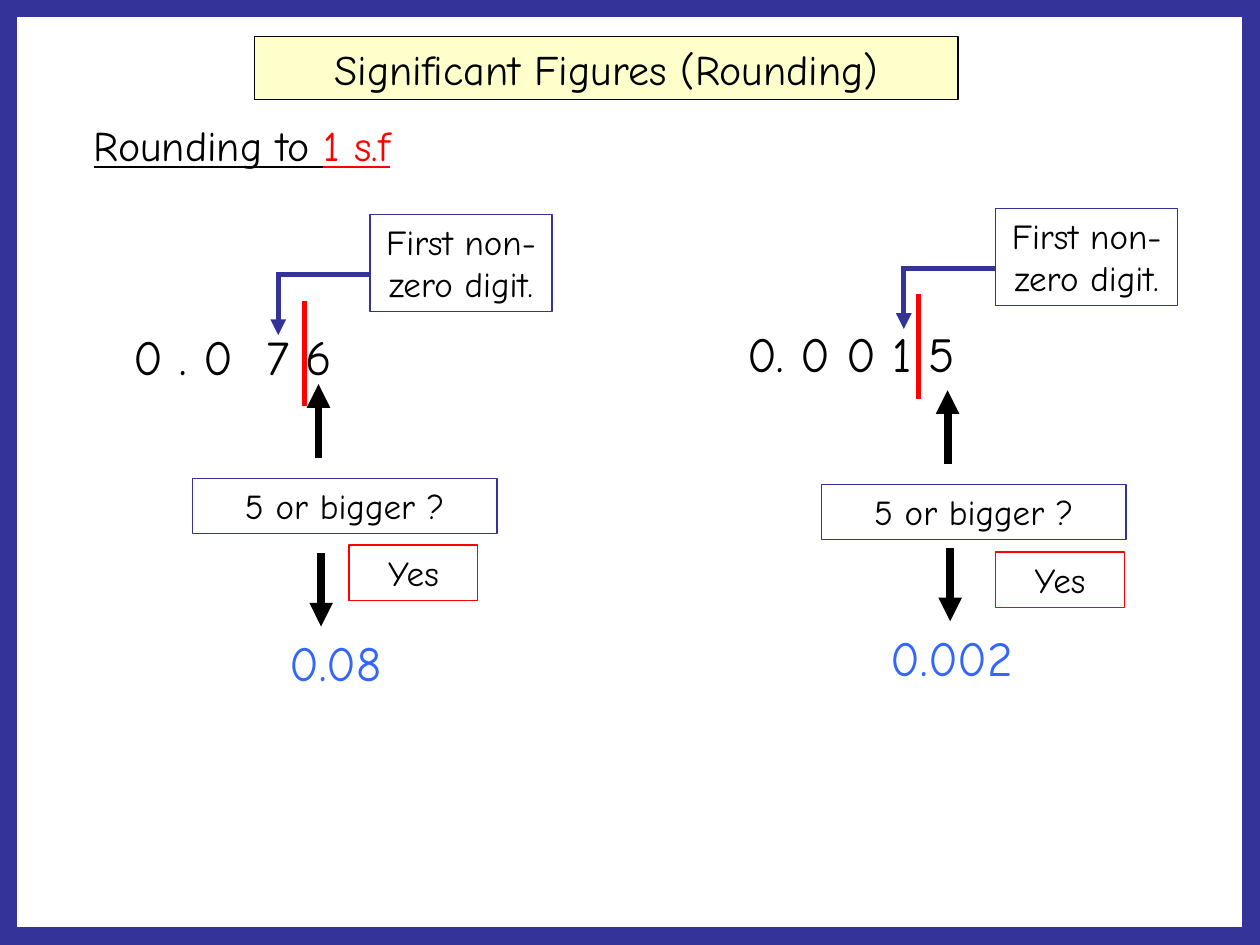
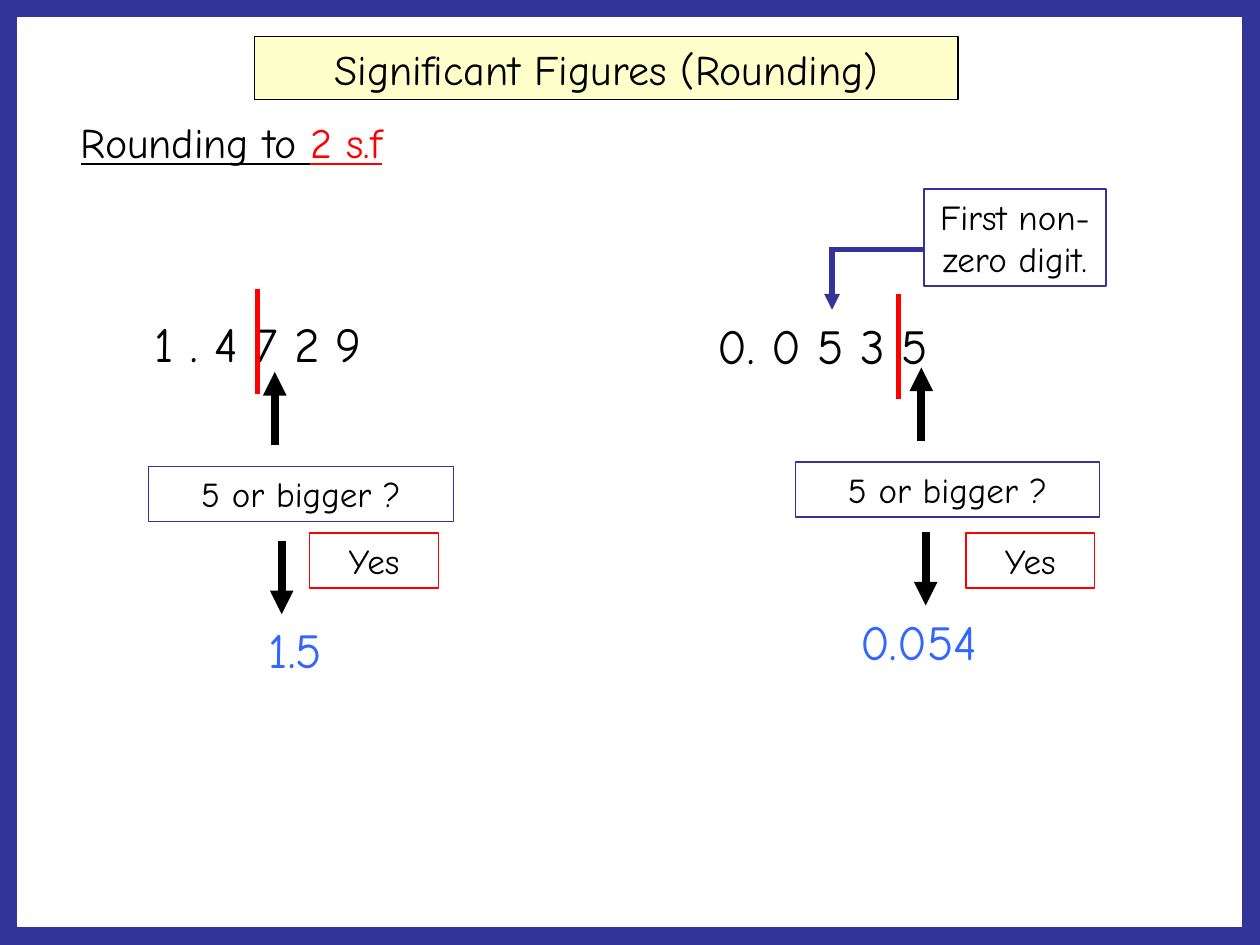
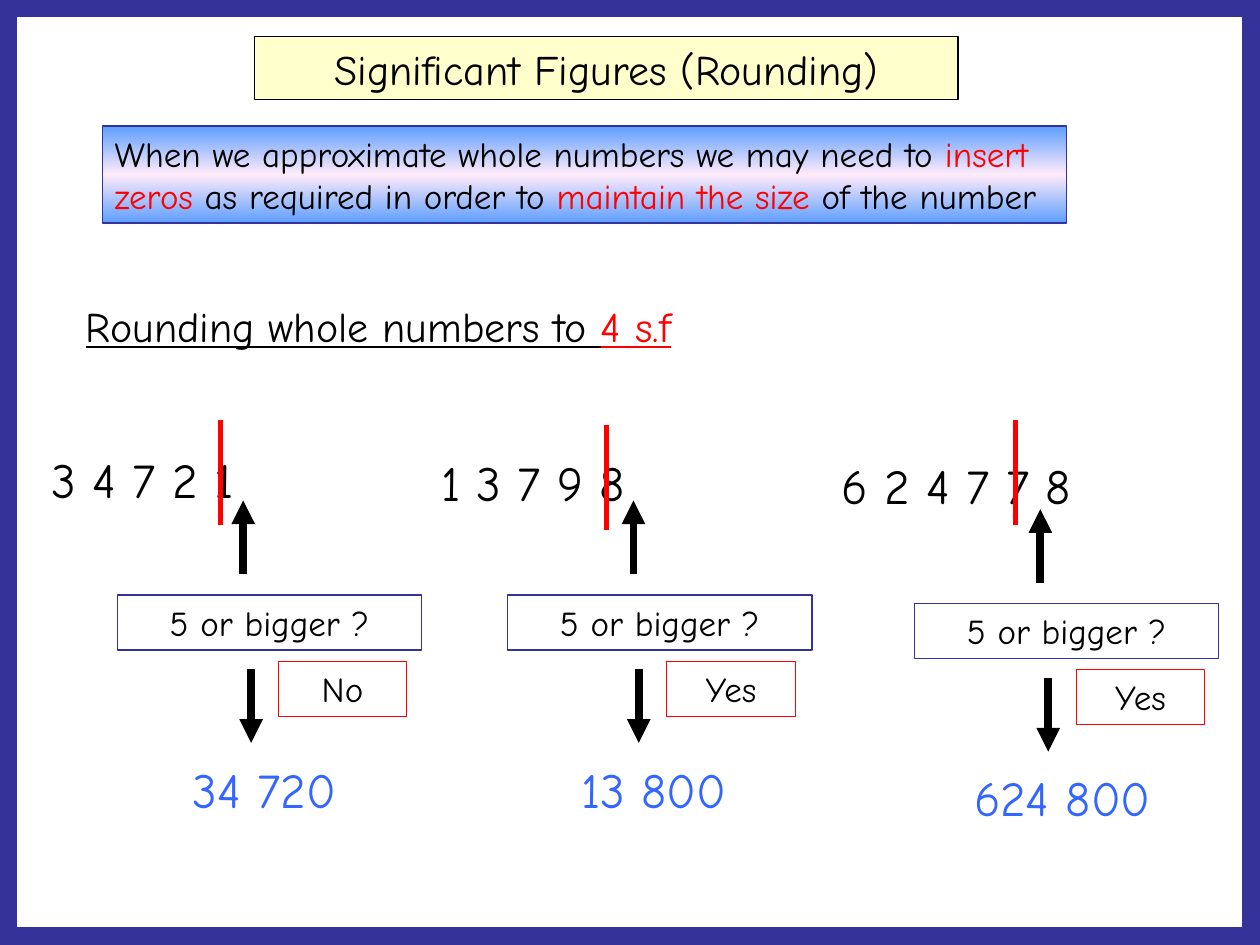
from copy import deepcopy
from dataclasses import dataclass

from pptx import Presentation
from pptx.dml.color import RGBColor
from pptx.enum.shapes import MSO_CONNECTOR, MSO_SHAPE
from pptx.enum.text import MSO_ANCHOR, MSO_AUTO_SIZE, PP_ALIGN
from pptx.oxml.ns import qn
from pptx.util import Pt

STRAIGHT = MSO_CONNECTOR.STRAIGHT
RECTANGLE = MSO_SHAPE.RECTANGLE
TOP = MSO_ANCHOR.TOP
FIT_SHAPE, FIXED_SIZE = MSO_AUTO_SIZE.SHAPE_TO_FIT_TEXT, MSO_AUTO_SIZE.NONE
LEFT, CENTER = PP_ALIGN.LEFT, PP_ALIGN.CENTER
TITLE_ONLY = 5


@dataclass(frozen=True)
class Theme:
    font: str = "Comic Neue"
    black: str = "000000"
    red: str = "FF0000"
    navy: str = "333399"
    answer_blue: str = "3366FF"
    title_fill: str = "FFFFCC"
    note_gradient: tuple = ((0, "5E9EFF"), (0.5, "FFEBFA"), (1, "5E9EFF"))
    heading_size: float = 24
    number_size: float = 28
    label_size: float = 20
    frame_line: float = 20
    box_line: float = 0.75
    mark_line: float = 3
    arrow_line: float = 4.5


THEME = Theme()
TITLE = "Significant Figures (Rounding)"
QUESTION = "5 or bigger ?"
FIRST_DIGIT = "First non-zero digit."
SPACE = 9.4        # width of one indent step in front of a number
LINE_HEIGHT = 41   # height of a number's text box


@dataclass(frozen=True)
class Example:
    """One worked rounding; each *_at is (left, top) in points."""
    digits: str
    digits_at: tuple
    cut_at: tuple
    question_at: tuple
    arrow_at: tuple
    verdict: str
    verdict_at: tuple
    answer: str
    answer_at: tuple
    answer_width: float = 151
    digits_indent: float = 0
    answer_indent: float = 0
    digits_tab: float = 0
    callout_at: tuple = ()


# Content of the slides
ONE_FIGURE = (
    Example("0 . 0\t7 6", (69, 183), (174, 172), (110, 273.5), (183.5, 316),
            "Yes", (199.5, 311.5), "0.08", (149, 358), 94,
            answer_indent=SPACE, digits_tab=76, callout_at=(211.5, 122.5)),
    Example("0. 0 0 1 5", (391.5, 181.5), (525, 168), (469.5, 277), (543, 313),
            "Yes", (569, 315.5), "0.002", (492.5, 355), 115,
            digits_indent=3 * SPACE, answer_indent=SPACE, callout_at=(569, 119)),
)
TWO_FIGURES = (
    Example("1 . 4 7 2 9", (81.5, 175.5), (147, 165), (85, 266.5), (161, 309),
            "Yes", (177, 304.5), "1.5", (137, 350.5), 60, answer_indent=SPACE),
    Example("0. 0 5 3 5", (403, 177), (513.5, 168), (454.5, 264), (529, 304),
            "Yes", (552, 304.5), "0.054", (484.5, 346), 96.5,
            callout_at=(528, 108)),
)
WHOLE_NUMBERS = (
    Example("3 4 7 2 1", (22.5, 253.5), (126, 240), (67, 340), (143.5, 382.5),
            "No", (159, 378), "34 720", (93.5, 430.5), answer_indent=SPACE),
    Example("1 3 7 9 8", (235.5, 255), (346.5, 243), (290, 340), (365, 382.5),
            "Yes", (381, 378), "13 800", (315.5, 430.5),
            digits_indent=SPACE, answer_indent=SPACE),
    Example("6 2 4 7 7 8", (474, 256.5), (580.5, 240), (522.5, 345), (599, 387.5),
            "Yes", (615, 382.5), "624 800", (549.5, 435)),
)
NOTE = (("When we approximate whole numbers we may need to ", THEME.black),
        ("insert zeros", THEME.red),
        (" as required in order to ", THEME.black),
        ("maintain the size", THEME.red),
        (" of the number", THEME.black))


# Helpers
def rgb(value):
    return RGBColor.from_string(value)


def apply_format(target, formats):
    for name, value in formats.items():
        setattr(target, name, value)


def set_outline(shape, color, width):
    shape.line.color.rgb = rgb(color)
    shape.line.width = Pt(width)


def add_tab_stop(paragraph, position):
    properties = paragraph._p.get_or_add_pPr()
    tab_list = properties.makeelement(qn("a:tabLst"), {})
    properties.append(tab_list)
    tab_list.append(tab_list.makeelement(
        qn("a:tab"), {"pos": str(Pt(position)), "algn": "l"}))


def write_text(shape, runs, size, align=LEFT, underline=None, indent=0, tab=0,
               auto_size=FIT_SHAPE):
    frame = shape.text_frame
    apply_format(frame, {
        "word_wrap": True, "auto_size": auto_size, "vertical_anchor": TOP,
        "margin_left": Pt(7.2 + indent), "margin_right": Pt(7.2),
        "margin_top": Pt(3.6), "margin_bottom": Pt(3.6)})
    paragraph = frame.paragraphs[0]
    paragraph.alignment = align
    if tab:
        add_tab_stop(paragraph, tab)
    for text, color in runs:
        run = paragraph.add_run()
        run.text = text
        apply_format(run.font, {"name": THEME.font, "size": Pt(size),
                                "underline": underline})
        run.font.color.rgb = rgb(color)


def add_box(slide, left, top, width, height, color, line=THEME.box_line):
    shape = slide.shapes.add_shape(
        RECTANGLE, Pt(left), Pt(top), Pt(width), Pt(height))
    shape.shadow.inherit = False
    shape.fill.background()
    set_outline(shape, color, line)
    return shape


def add_label(slide, text, position, width, height, color):
    box = add_box(slide, *position, width, height, color)
    write_text(box, [(text, THEME.black)], THEME.label_size, CENTER)


def add_text(slide, runs, position, width, height, size, **options):
    box = slide.shapes.add_textbox(*map(Pt, (*position, width, height)))
    write_text(box, runs, size, **options)


def add_line(slide, start, end, color, width, arrow=False):
    connector = slide.shapes.add_connector(STRAIGHT, *map(Pt, (*start, *end)))
    set_outline(connector, color, width)
    if arrow:
        line = connector.line._get_or_add_ln()
        line.append(line.makeelement(qn("a:tailEnd"), {"type": "triangle"}))
    properties = connector._element.spPr
    properties.append(properties.makeelement(qn("a:effectLst"), {}))


# Parts of a slide
def add_lesson_slide(presentation):
    slide = presentation.slides.add_slide(presentation.slide_layouts[TITLE_ONLY])
    add_box(slide, 0, 0, 720, 540, THEME.navy, THEME.frame_line)
    title = slide.shapes.title
    apply_format(title, {"left": Pt(145.5), "top": Pt(21),
                         "width": Pt(402), "height": Pt(36)})
    title.fill.solid()
    title.fill.fore_color.rgb = rgb(THEME.title_fill)
    set_outline(title, THEME.black, THEME.box_line)
    write_text(title, [(TITLE, THEME.black)], THEME.heading_size, CENTER,
               auto_size=FIXED_SIZE)
    return slide


def add_heading(slide, text, figures, position, width):
    add_text(slide, [(text, THEME.black), (figures, THEME.red)], position,
             width, 36, THEME.heading_size, underline=True)


def add_note(slide):
    note = add_box(slide, 58.5, 72, 551, 55.5, THEME.navy)
    note.fill.gradient()
    note.fill.gradient_angle = 90
    stop_list = note._element.spPr.find(".//" + qn("a:gsLst"))
    stop_list.insert(1, deepcopy(stop_list[0]))
    for stop, (position, color) in zip(note.fill.gradient_stops,
                                       THEME.note_gradient):
        stop.position = position
        stop.color.rgb = rgb(color)
    write_text(note, NOTE, THEME.label_size)


def add_callout(slide, left, top):
    stem, bar = left - 52.5, top + 34.5
    add_line(slide, (stem, top + 33), (stem, top + 69), THEME.navy,
             THEME.mark_line, arrow=True)
    add_line(slide, (left - 54, bar), (left, bar), THEME.navy, THEME.mark_line)
    add_label(slide, FIRST_DIGIT, (left, top), 104, 55.5, THEME.navy)


def add_example(slide, example):
    # Number and the cut after its last kept digit
    add_text(slide, [(example.digits, THEME.black)], example.digits_at, 180,
             LINE_HEIGHT, THEME.number_size, indent=example.digits_indent,
             tab=example.digits_tab)
    left, top = example.cut_at
    add_line(slide, (left, top), (left, top + 60), THEME.red, THEME.mark_line)

    # Question pointing up at the deciding digit
    left, top = example.question_at
    add_label(slide, QUESTION, (left, top), 174, 31.5, THEME.navy)
    add_line(slide, (left + 72, top - 12), (left + 72, top - 54), THEME.black,
             THEME.arrow_line, arrow=True)

    # Verdict and answer
    left, top = example.arrow_at
    add_line(slide, (left, top), (left, top + 42), THEME.black,
             THEME.arrow_line, arrow=True)
    add_label(slide, example.verdict, example.verdict_at, 73.5, 31.5, THEME.red)
    add_text(slide, [(example.answer, THEME.answer_blue)], example.answer_at,
             example.answer_width, LINE_HEIGHT, THEME.number_size,
             indent=example.answer_indent)
    if example.callout_at:
        add_callout(slide, *example.callout_at)


def main():
    presentation = Presentation()
    presentation.slide_width, presentation.slide_height = Pt(720), Pt(540)

    lessons = (
        ("Rounding to ", "1 s.f", (46.5, 65), 210, ONE_FIGURE),
        ("Rounding to ", "2 s.f", (39, 63), 210, TWO_FIGURES),
        ("Rounding whole numbers to ", "4 s.f", (42, 168), 397.5, WHOLE_NUMBERS),
    )
    for text, figures, position, width, examples in lessons:
        slide = add_lesson_slide(presentation)
        if examples is WHOLE_NUMBERS:
            add_note(slide)
        add_heading(slide, text, figures, position, width)
        for example in examples:
            add_example(slide, example)

    presentation.save("out.pptx")


if __name__ == "__main__":
    main()
